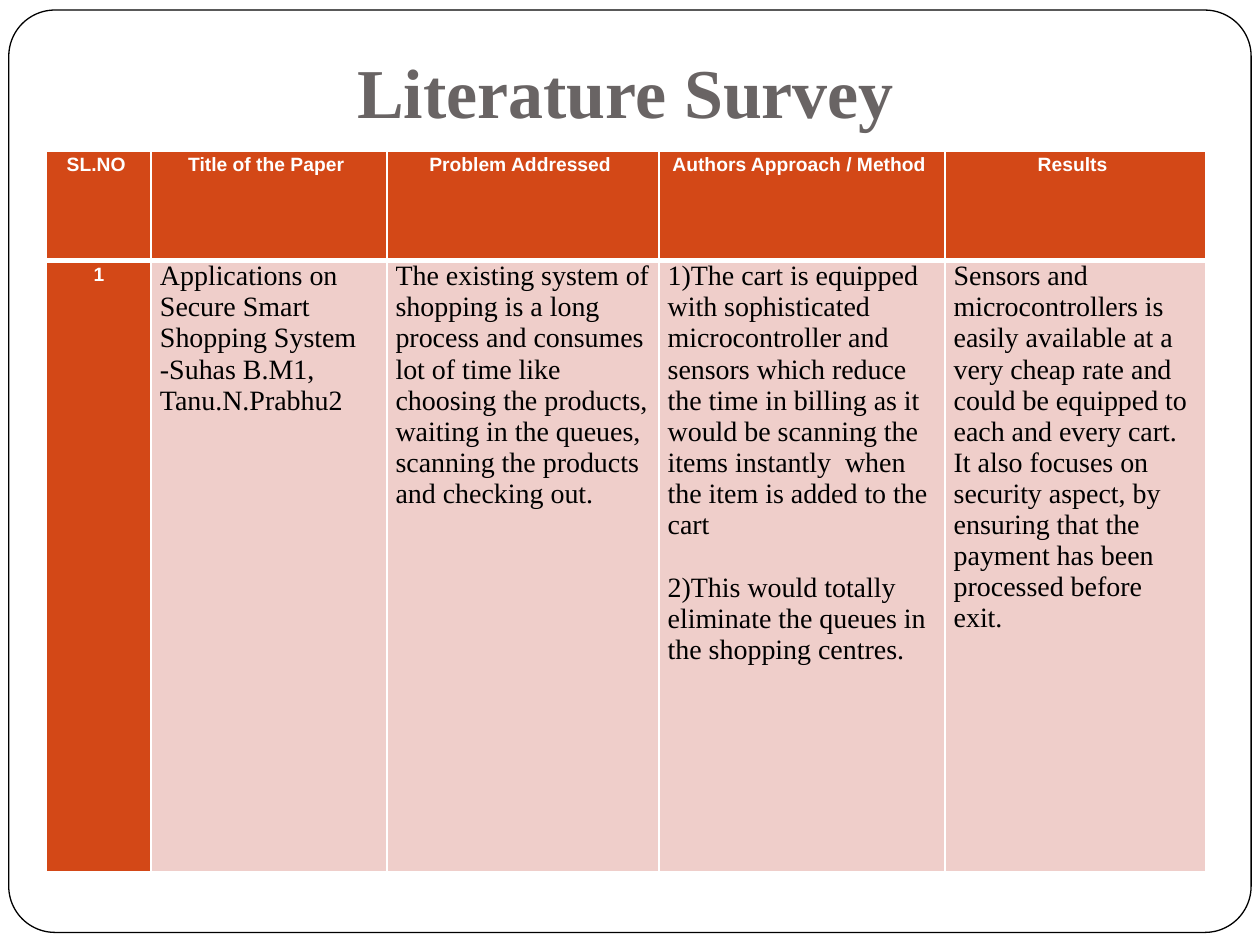
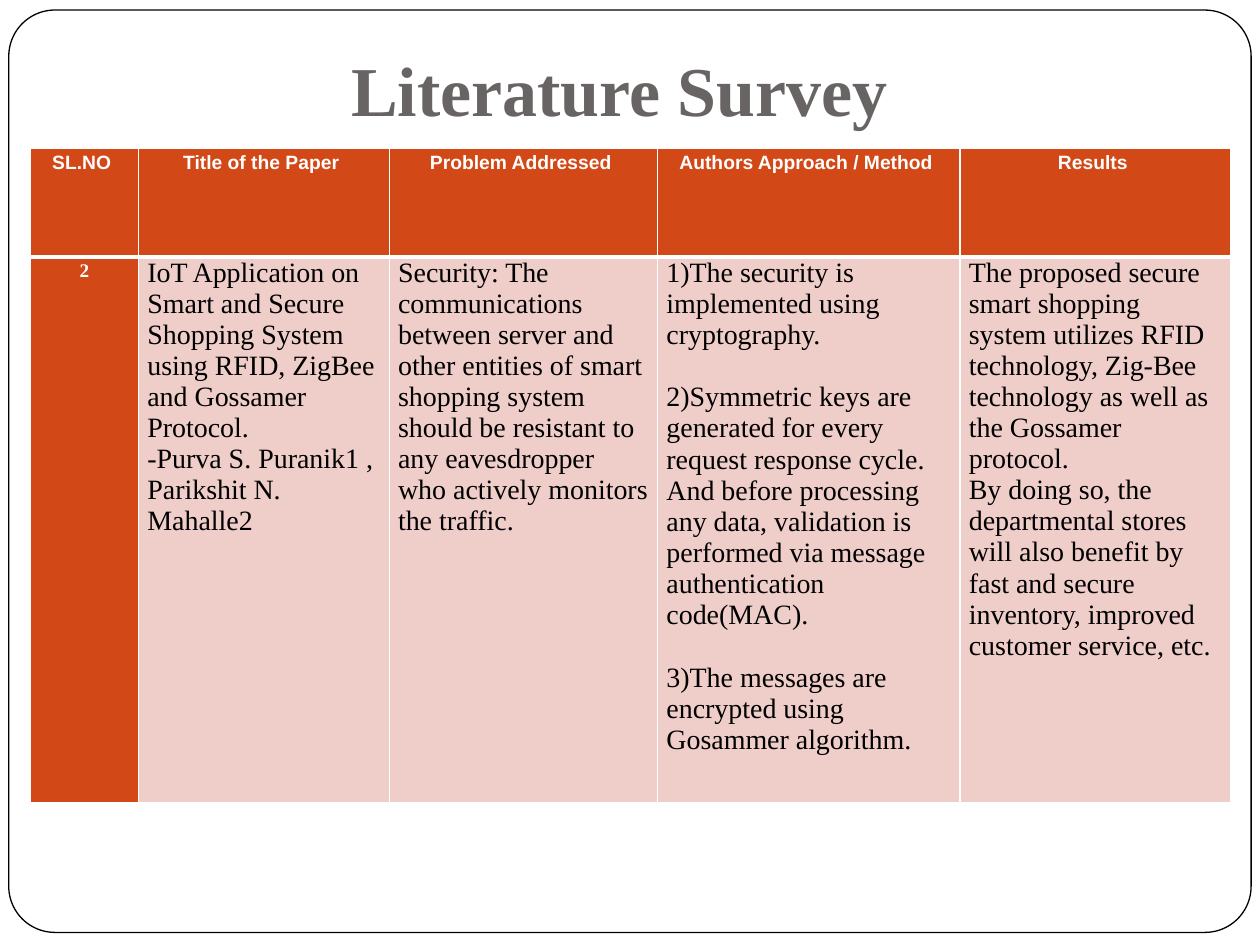
from dataclasses import dataclass

from lxml import etree
from pptx import Presentation
from pptx.dml.color import RGBColor
from pptx.enum.shapes import MSO_SHAPE
from pptx.enum.text import MSO_ANCHOR, PP_ALIGN
from pptx.oxml.ns import qn
from pptx.util import Emu, Pt

ROUNDED = MSO_SHAPE.ROUNDED_RECTANGLE
MIDDLE = MSO_ANCHOR.MIDDLE
TOP = MSO_ANCHOR.TOP
CENTER = PP_ALIGN.CENTER
LEFT = PP_ALIGN.LEFT

EMU_PER_PX = 9144  # 100 px to the inch
BLANK_LAYOUT = 6


@dataclass(frozen=True)
class Theme:
    paper: str = "FFFFFF"
    outline: str = "000000"
    title: str = "696464"
    accent: str = "D34817"
    body_fill: str = "EFCECA"
    body_text: str = "000000"
    serif: str = "Times New Roman"
    sans: str = "Arial"
    title_size: int = 40
    label_size: int = 11
    body_size: int = 16
    blank_line: int = 18
    label_spacing: float = 1.15
    thin_border: int = 1
    header_border: int = 3


THEME = Theme()


@dataclass(frozen=True)
class TextStyle:
    font: str
    size: int
    color: str
    bold: bool = False
    alignment: PP_ALIGN = LEFT
    line_spacing: float = 1.0


TITLE = TextStyle(THEME.serif, THEME.title_size, THEME.title, True, CENTER)
BODY = TextStyle(THEME.serif, THEME.body_size, THEME.body_text)


def label_style(font: str) -> TextStyle:
    return TextStyle(font, THEME.label_size, THEME.paper, True, CENTER, THEME.label_spacing)


@dataclass(frozen=True)
class CellText:
    paragraphs: tuple[str, ...]
    spaced: bool = False  # one line of air between paragraphs


@dataclass(frozen=True)
class Survey:
    number: str
    number_font: str
    title_at: tuple[int, int]
    table_at: tuple[int, int]
    columns: tuple[int, ...]
    rows: tuple[int, int]
    findings: tuple[CellText, ...]


HEADINGS = (
    "SL.NO ",
    "Title of the Paper ",
    "Problem Addressed ",
    "Authors Approach / Method ",
    "Results ",
)

SURVEYS = (
    Survey(
        "1", THEME.sans, (147, 24), (37, 120), (83, 187, 216, 227, 207), (87, 485),
        (
            CellText((
                "Applications on Secure Smart Shopping System",
                "-Suhas B.M1, Tanu.N.Prabhu2",
            )),
            CellText((
                "The existing system of shopping is a long process and consumes lot of time "
                "like choosing the products, waiting in the queues, scanning the products "
                "and checking out.",
            )),
            CellText((
                "1)The cart is equipped with sophisticated microcontroller and sensors which "
                "reduce the time in billing as it would be scanning the items instantly  when "
                "the item is added to the cart",
                "2)This would totally eliminate the queues in the shopping centres.",
            ), spaced=True),
            CellText((
                "Sensors and microcontrollers is easily available at a very cheap rate and "
                "could be equipped to each and every cart. It also focuses on security "
                "aspect, by ensuring that the payment has been",
                "processed before exit.",
            )),
        ),
    ),
    Survey(
        "2", THEME.serif, (142, 22), (24, 118), (86, 199, 213, 240, 215), (86, 433),
        (
            CellText((
                "IoT Application on Smart and Secure Shopping System using RFID, ZigBee and "
                "Gossamer Protocol.",
                "-Purva S. Puranik1 , Parikshit N. Mahalle2",
            )),
            CellText((
                "Security: The communications between server and other entities of smart "
                "shopping system should be resistant to any eavesdropper who actively "
                "monitors the traffic.",
            )),
            CellText((
                "1)The security is implemented using cryptography.",
                "2)Symmetric keys are generated for every request response cycle. And before "
                "processing any data, validation is performed via message authentication "
                "code(MAC).",
                "3)The messages are encrypted using Gosammer algorithm.",
            ), spaced=True),
            CellText((
                "The proposed secure smart shopping system utilizes RFID technology, Zig-Bee "
                "technology as well as the Gossamer protocol.",
                "By doing so, the departmental stores will also benefit by fast and secure "
                "inventory, improved customer service, etc.",
            )),
        ),
    ),
)


def px(length: int) -> Emu:
    return Emu(length * EMU_PER_PX)


def rgb(color: str) -> RGBColor:
    return RGBColor.from_string(color)


def write_text(text_frame, text: CellText, style: TextStyle) -> None:
    text_frame.text = "\n".join(text.paragraphs)
    for index, paragraph in enumerate(text_frame.paragraphs):
        paragraph.alignment = style.alignment
        paragraph.line_spacing = style.line_spacing
        if text.spaced and index:
            paragraph.space_before = Pt(THEME.blank_line)
        for run in paragraph.runs:
            run.font.name = style.font
            run.font.size = Pt(style.size)
            run.font.bold = style.bold
            run.font.color.rgb = rgb(style.color)


def set_borders(cell, top: int, bottom: int) -> None:
    """Cell lines must come before the fill in the cell properties."""
    thin = THEME.thin_border
    widths = {"a:lnL": thin, "a:lnR": thin, "a:lnT": top, "a:lnB": bottom}
    properties = cell._tc.get_or_add_tcPr()
    for index, (tag, width) in enumerate(widths.items()):
        line = etree.Element(qn(tag), w=str(Pt(width)))
        fill = etree.SubElement(line, qn("a:solidFill"))
        etree.SubElement(fill, qn("a:srgbClr"), val=THEME.paper)
        properties.insert(index, line)


def fill_cell(cell, text: CellText, style: TextStyle, fill: str, is_header: bool) -> None:
    cell.margin_left = cell.margin_right = px(7)
    cell.margin_top = cell.margin_bottom = 0
    cell.vertical_anchor = TOP
    cell.fill.solid()
    cell.fill.fore_color.rgb = rgb(fill)
    write_text(cell.text_frame, text, style)
    thin, thick = THEME.thin_border, THEME.header_border
    set_borders(cell, *((thin, thick) if is_header else (thick, thin)))


def add_frame(slide) -> None:
    shape = slide.shapes.add_shape(ROUNDED, px(7), px(8), px(986), px(732))
    shape.adjustments[0] = 0.05
    shape.shadow.inherit = False
    shape.fill.solid()
    shape.fill.fore_color.rgb = rgb(THEME.paper)
    shape.line.color.rgb = rgb(THEME.outline)
    shape.line.width = Pt(0.75)


def add_title(slide, left: int, top: int) -> None:
    text_frame = slide.shapes.add_textbox(px(left), px(top), px(699), px(96)).text_frame
    text_frame.word_wrap = True
    text_frame.vertical_anchor = MIDDLE
    text_frame.margin_left = text_frame.margin_right = px(10)
    text_frame.margin_top = text_frame.margin_bottom = px(10)
    write_text(text_frame, CellText(("Literature Survey",)), TITLE)


def add_survey_table(slide, survey: Survey) -> None:
    left, top = survey.table_at
    table = slide.shapes.add_table(
        len(survey.rows), len(survey.columns), px(left), px(top),
        px(sum(survey.columns)), px(sum(survey.rows)),
    ).table
    table.horz_banding = False
    for column, width in zip(table.columns, survey.columns):
        column.width = px(width)
    for row, height in zip(table.rows, survey.rows):
        row.height = px(height)

    # Header row
    for index, heading in enumerate(HEADINGS):
        fill_cell(table.cell(0, index), CellText((heading,)), label_style(THEME.sans),
                  THEME.accent, True)

    # Paper number, then the findings
    fill_cell(table.cell(1, 0), CellText((survey.number,)), label_style(survey.number_font),
              THEME.accent, False)
    for index, finding in enumerate(survey.findings, start=1):
        fill_cell(table.cell(1, index), finding, BODY, THEME.body_fill, False)


def main() -> None:
    presentation = Presentation()
    presentation.slide_width, presentation.slide_height = px(1000), px(750)
    for survey in SURVEYS:
        slide = presentation.slides.add_slide(presentation.slide_layouts[BLANK_LAYOUT])
        add_frame(slide)
        add_title(slide, *survey.title_at)
        add_survey_table(slide, survey)
    presentation.save("out.pptx")


if __name__ == "__main__":
    main()
